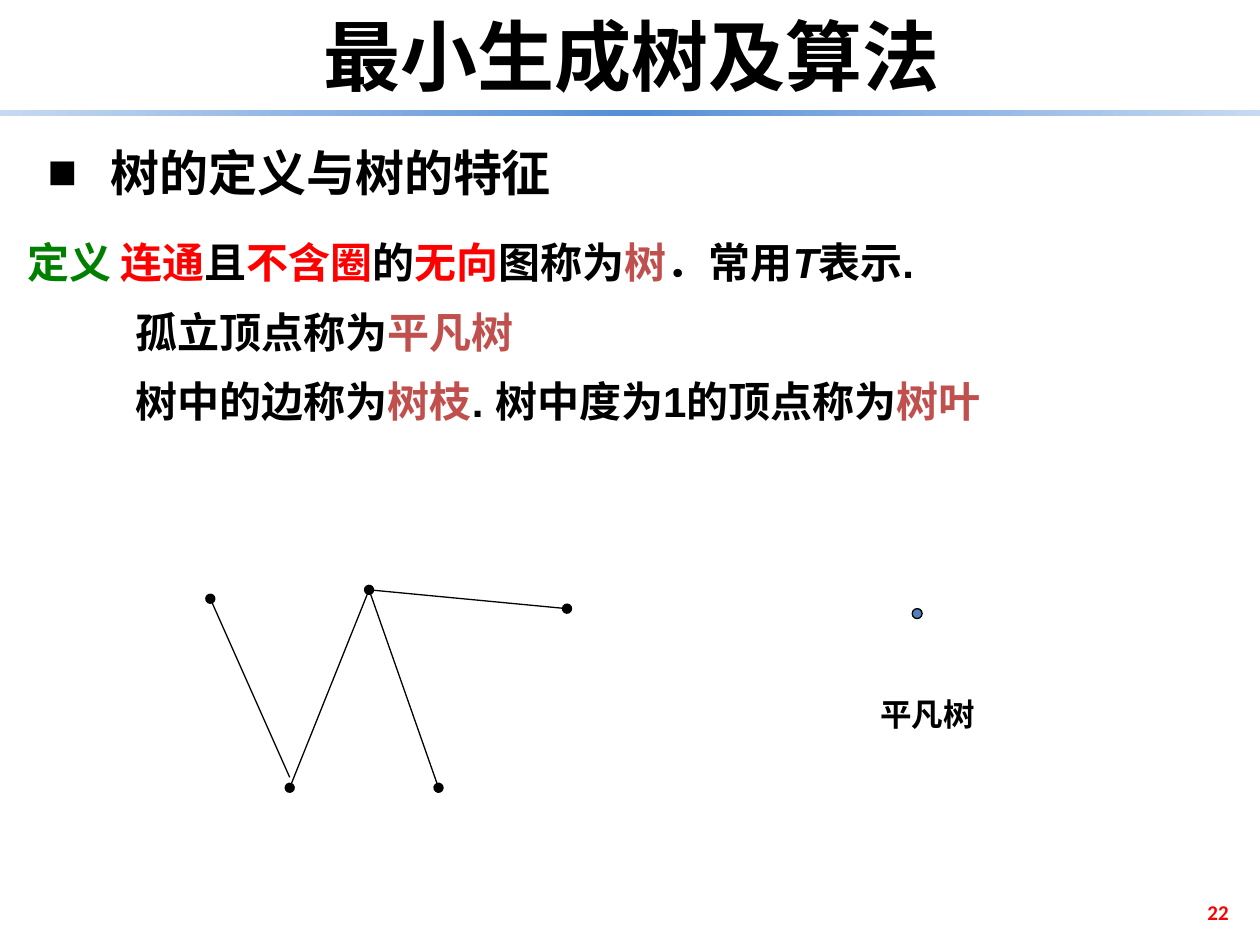
import pptx
import pptx.dml.color
import pptx.enum.shapes
import pptx.enum.text
import pptx.oxml
import pptx.oxml.ns
import pptx.util
from pptx.util import Cm

ALIGN = pptx.enum.text.PP_ALIGN
ANCHOR = pptx.enum.text.MSO_ANCHOR
SHAPES = pptx.enum.shapes.MSO_SHAPE
BLACK, RED, GREEN, BRICK = "000000", "FF0000", "008000", "C0504D"


def rgb(color):
    return pptx.dml.color.RGBColor.from_string(color)


def make_element(tag, **attributes):
    element = pptx.oxml.parse_xml(f"<a:{tag} {pptx.oxml.ns.nsdecls('a')}/>")
    for name, value in attributes.items():
        element.set(name, str(value))
    return element


def add_bullet(para, symbol, indent):
    properties = para._p.get_or_add_pPr()
    properties.set("marL", str(indent))
    properties.set("indent", str(-indent))
    properties.append(make_element("buFont", typeface="Arial"))
    properties.append(make_element("buChar", char=symbol))


def add_text(page, box, spans, size, font="Calibri", align=ALIGN.LEFT,
             anchor=ANCHOR.TOP, bullet=None):
    frame = page.shapes.add_textbox(*map(Cm, box)).text_frame
    for name, value in {"word_wrap": True, "vertical_anchor": anchor}.items():
        setattr(frame, name, value)
    para = frame.paragraphs[0]
    para.alignment = align
    if bullet:
        add_bullet(para, bullet, Cm(1.27))
    for text, color, *italic in spans:
        span = para.add_run()
        span.text = text
        formats = {"size": pptx.util.Pt(size), "name": font,
                   "bold": True, "italic": bool(italic)}
        for name, value in formats.items():
            setattr(span.font, name, value)
        span.font.color.rgb = rgb(color)


def add_rule(page, box):
    rule = page.shapes.add_shape(SHAPES.RECTANGLE, *map(Cm, box))
    rule.shadow.inherit = False
    rule.line.fill.background()
    rule.fill.gradient()
    rule.fill.gradient_angle = 0
    stops = rule._element.spPr.find(".//" + pptx.oxml.ns.qn("a:gsLst"))
    for stop in list(stops):
        stops.remove(stop)
    colors = ["C6D9F1", "8EB4E3", "558ED5", "8EB4E3", "C6D9F1"]
    for index, color in enumerate(colors):
        stop = make_element("gs", pos=index * 25000)
        stop.append(make_element("srgbClr", val=color))
        stops.append(stop)


def add_header(page, box):
    left, top, width, height = box
    add_text(page, (left + 0.08, top + 0.05, width - 0.08, 2.13),
             [("最小生成树及算法", BLACK)], 44, "DejaVu Sans Mono", ALIGN.CENTER)
    add_rule(page, (left, top + height - 0.13, width, 0.13))


def add_definitions(page, box):
    left, top, width, height = box
    add_text(page, (left + 0.41, top, 11.05, 1.45),
             [("树的定义与树的特征", BLACK)], 28, bullet="■")
    lines = [
        (0, 1.91, [("定义 ", GREEN), ("连通", RED), ("且", BLACK),
                   ("不含圈", RED), ("的", BLACK), ("无向", RED),
                   ("图称为", BLACK), ("树", BRICK), ("．常用", BLACK),
                   ("T", BLACK, True), ("表示.", BLACK)]),
        (2.19, 3.31, [("孤立顶点称为", BLACK), ("平凡树", BRICK)]),
        (2.19, 4.7, [("树中的边称为", BLACK), ("树枝", BRICK),
                     (". 树中度为1的顶点称为", BLACK), ("树叶", BRICK)]),
    ]
    for indent, offset, spans in lines:
        add_text(page, (left + indent, top + offset, width - indent, 1.27),
                 spans, 24, "Arial")


def add_edge(page, start, end, ovals):
    edge = page.shapes.add_connector(
        pptx.enum.shapes.MSO_CONNECTOR.STRAIGHT, *map(Cm, start + end))
    edge.line.width = pptx.util.Pt(0.75)
    edge.line.color.rgb = rgb(BLACK)
    outline = edge.line._get_or_add_ln()
    for tag in ovals:
        outline.append(make_element(tag, type="oval", w="med", len="med"))
    edge._element.spPr.append(make_element("effectLst"))


def add_tree(page, box):
    left, top, width, height = box
    nodes = {
        "first": (0, 0.18),
        "above valley": (1.6, height - 0.21),
        "valley": (1.6, height),
        "peak": (3.2, 0),
        "foot": (4.6, height),
        "last": (width, 0.38),
    }
    places = {name: (left + x, top + y) for name, (x, y) in nodes.items()}
    edges = [
        ("first", "above valley", ["headEnd"]),
        ("valley", "peak", ["headEnd", "tailEnd"]),
        ("peak", "foot", ["tailEnd"]),
        ("peak", "last", ["tailEnd"]),
    ]
    for start, end, ovals in edges:
        add_edge(page, places[start], places[end], ovals)


def add_trivial_tree(page, box):
    left, top, width, height = box
    vertex = page.shapes.add_shape(
        SHAPES.OVAL, *map(Cm, (left + 0.89, top, 0.2, 0.2)))
    vertex.shadow.inherit = False
    vertex.fill.solid()
    vertex.fill.fore_color.rgb = rgb("4F81BD")
    vertex.line.color.rgb = rgb(BLACK)
    vertex.line.width = pptx.util.Pt(0.75)
    add_text(page, (left, top + height - 1.02, width, 1.02),
             [("平凡树", BLACK)], 18)


def add_page_number(page, box):
    add_text(page, box, [("22", RED)], 12, align=ALIGN.RIGHT,
             anchor=ANCHOR.MIDDLE)


def main():
    deck = pptx.Presentation()
    deck.slide_width, deck.slide_height = Cm(25.4), Cm(19.05)
    page = deck.slides.add_slide(deck.slide_layouts[6])
    add_header(page, (0, 0, 25.4, 2.34))
    add_definitions(page, (0.3, 2.74, 20.96, 5.97))
    add_tree(page, (4.24, 11.89, 7.19, 3.99))
    add_trivial_tree(page, (17.5, 12.27, 2.79, 2.64))
    add_page_number(page, (19.1, 17.88, 5.92, 1.02))
    deck.save("out.pptx")


if __name__ == "__main__":
    main()
